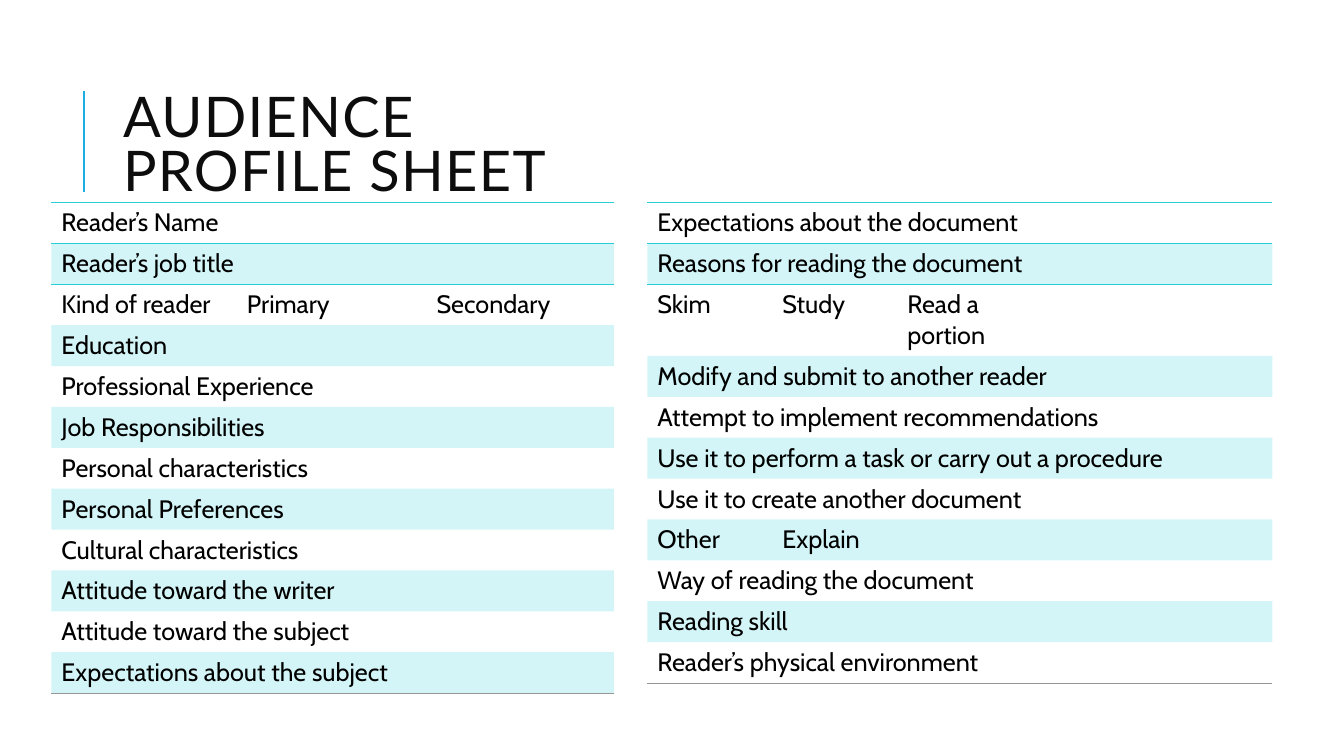
from lxml.etree import SubElement
from pptx import Presentation
from pptx.dml.color import RGBColor
from pptx.enum.shapes import MSO_CONNECTOR as Connector
from pptx.enum.text import MSO_ANCHOR as Anchor, MSO_AUTO_SIZE as AutoSize, PP_ALIGN as Align
from pptx.oxml.ns import qn
from pptx.util import Inches, Pt

BLUE = RGBColor(0x1C, 0xAD, 0xE4)
TURQUOISE = RGBColor(0x27, 0xCE, 0xD7)
GRAY = RGBColor(0x96, 0x96, 0x96)
INK = RGBColor(0x0D, 0x0D, 0x0D)
BLACK = RGBColor(0, 0, 0)
PLAIN_STYLE = "{2D5ABB26-0587-4C30-8999-92F81FD0307C}"
TABLE_TOP = 2.01
ROW_HEIGHT = 4.86 / 12

READER_ROWS = [
    ["Reader’s Name"],
    ["Reader’s job title"],
    ["Kind of reader", "Primary", "Secondary"],
    ["Education"],
    ["Professional Experience"],
    ["Job Responsibilities"],
    ["Personal characteristics"],
    ["Personal Preferences"],
    ["Cultural characteristics"],
    ["Attitude toward the writer"],
    ["Attitude toward the subject"],
    ["Expectations about the subject"],
]
DOCUMENT_ROWS = [
    ["Expectations about the document"],
    ["Reasons for reading the document"],
    ["Skim", "Study", "Read a portion", "", ""],
    ["Modify and submit to another reader"],
    ["Attempt to implement recommendations"],
    ["Use it to perform a task or carry out a procedure"],
    ["Use it to create another document"],
    ["Other", "Explain", ""],
    ["Way of reading the document"],
    ["Reading skill"],
    ["Reader’s physical environment"],
]
TABLES = [
    (6.42, [1.24, 1.24, 1.73, 0.75, 1.24], DOCUMENT_ROWS),
    (0.51, [1.84, 1.88, 1.86], READER_ROWS),
]


def add_border(cell, side, color, width):
    line = SubElement(cell._tc.get_or_add_tcPr(), qn(f"a:{side}"), w=str(Pt(width)))
    fill = SubElement(line, qn("a:solidFill"))
    SubElement(fill, qn("a:srgbClr"), val=str(color))


presentation = Presentation()
presentation.slide_width = Inches(13.33)
presentation.slide_height = Inches(7.5)
slide = presentation.slides.add_slide(presentation.slide_layouts[5])

rule = slide.shapes.add_connector(
    Connector.STRAIGHT, Inches(0.83), Inches(1.9), Inches(0.83), Inches(0.9))
rule.line.color.rgb = BLUE
rule.line.width = Pt(1.5)
SubElement(rule._element.spPr, qn("a:effectLst"))

title = slide.shapes.title
title.left, title.top = Inches(1.12), Inches(0.52)
title.width, title.height = Inches(4.8), Inches(1.9)
title_frame = title.text_frame
title_frame.text = "AUDIENCE PROFILE SHEET"
title_frame.word_wrap = True
title_frame.auto_size = AutoSize.NONE
title_frame.vertical_anchor = Anchor.MIDDLE
title_paragraph = title_frame.paragraphs[0]
title_paragraph.alignment = Align.LEFT
title_paragraph.line_spacing = 0.8
title_font = title_paragraph.runs[0].font
title_font.name = "Lato"
title_font.size = Pt(40)
title_font.color.rgb = INK
title_paragraph.runs[0]._r.get_or_add_rPr().set("spc", "100")

for left, widths, rows in TABLES:
    frame = slide.shapes.add_table(
        len(rows), len(widths), Inches(left), Inches(TABLE_TOP),
        Inches(sum(widths)), Inches(ROW_HEIGHT * len(rows)))
    table = frame.table
    table.first_row = table.horz_banding = False
    table._tbl.tblPr.find(qn("a:tableStyleId")).text = PLAIN_STYLE
    for column, width in zip(table.columns, widths):
        column.width = Inches(width)

    for index, texts in enumerate(rows):
        table.rows[index].height = Inches(ROW_HEIGHT)
        for cell in table.rows[index].cells:
            if index == 0:
                add_border(cell, "lnT", TURQUOISE, 1)
                add_border(cell, "lnB", TURQUOISE, 1)
            elif index == 1:
                add_border(cell, "lnT", TURQUOISE, 1)
            elif index == len(rows) - 1:
                add_border(cell, "lnB", GRAY, 0.75)
            if index % 2:
                cell.fill.solid()
                cell.fill.fore_color.rgb = TURQUOISE
                color = cell._tc.tcPr.find(qn("a:solidFill"))[0]
                SubElement(color, qn("a:alpha"), val="20000")
            else:
                cell.fill.background()

        if len(texts) < len(widths):
            table.cell(index, len(texts) - 1).merge(table.cell(index, len(widths) - 1))
        for position, text in enumerate(texts):
            paragraph = table.cell(index, position).text_frame.paragraphs[0]
            paragraph.text = text
            for run in paragraph.runs:
                run.font.name = "Cabin"
                run.font.size = Pt(18)
                run.font.color.rgb = BLACK

presentation.save("out.pptx")
